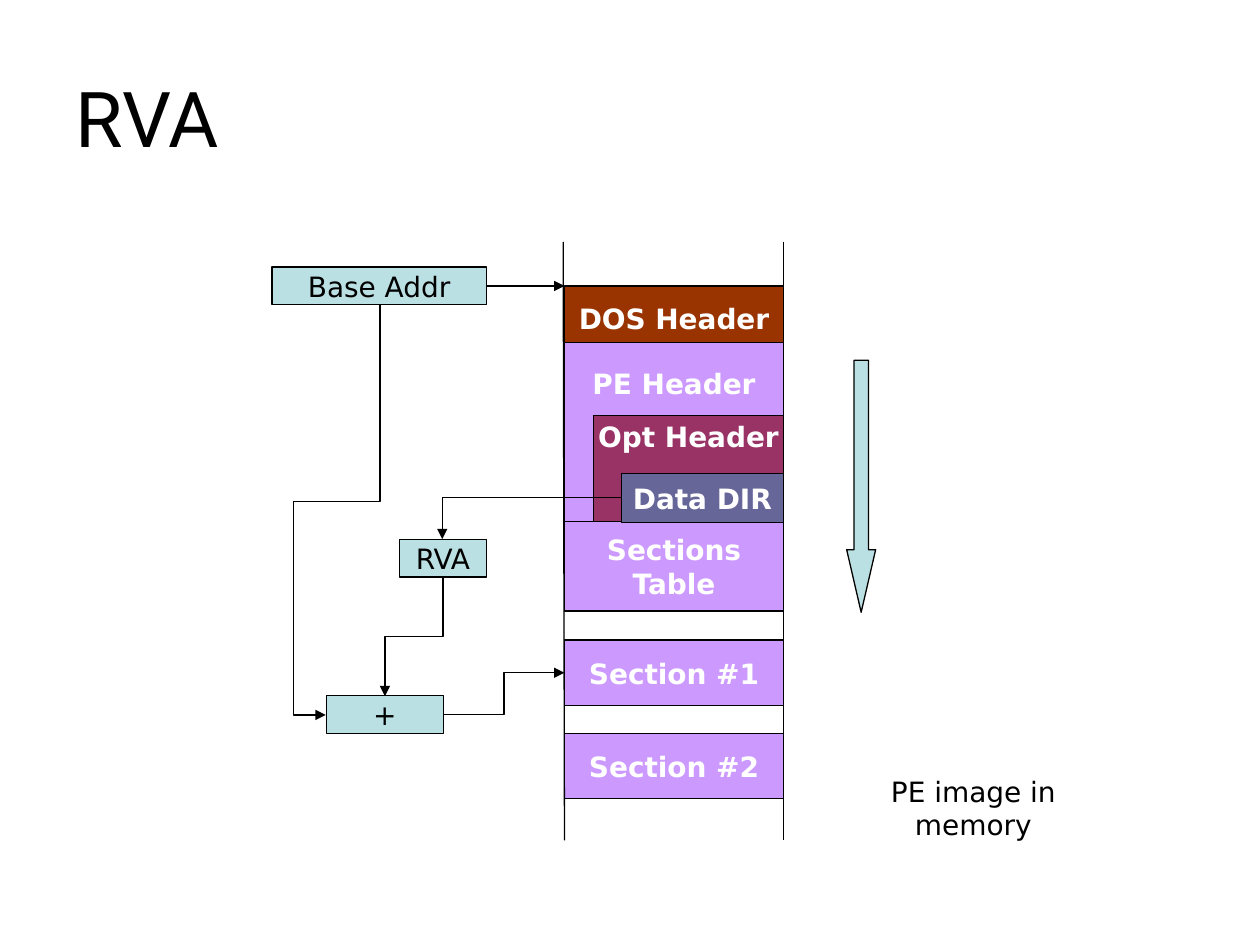
from pptx import Presentation
from pptx.dml.color import RGBColor
from pptx.enum.shapes import MSO_CONNECTOR, MSO_SHAPE
from pptx.enum.text import MSO_ANCHOR, PP_ALIGN
from pptx.oxml.ns import qn
from pptx.util import Inches, Pt
from lxml import etree

BLACK = RGBColor(0x00, 0x00, 0x00)
WHITE = RGBColor(0xFF, 0xFF, 0xFF)
BROWN = RGBColor(0x99, 0x33, 0x00)
LILAC = RGBColor(0xCC, 0x99, 0xFF)
PLUM = RGBColor(0x99, 0x33, 0x66)
SLATE = RGBColor(0x66, 0x66, 0x99)
PALE_BLUE = RGBColor(0xBB, 0xE0, 0xE3)

RECTANGLE = MSO_SHAPE.RECTANGLE
DOWN_ARROW = MSO_SHAPE.DOWN_ARROW
STRAIGHT = MSO_CONNECTOR.STRAIGHT
ELBOW = MSO_CONNECTOR.ELBOW
TOP, MIDDLE = MSO_ANCHOR.TOP, MSO_ANCHOR.MIDDLE
LEFT, CENTER = PP_ALIGN.LEFT, PP_ALIGN.CENTER
RIGHT_SIDE = 3

BODY_FONT, TITLE_FONT = "DejaVu Sans", "Roboto"
LINE_WIDTH = Pt(0.75)
MEMORY_LEFT, MEMORY_RIGHT = 4.48, 6.22
MEMORY_BLOCKS = [
    ("DOS Header", MEMORY_LEFT, 2.27, 0.52, BROWN, None),
    ("PE Header", MEMORY_LEFT, 2.72, 1.42, LILAC, 0.19),
    ("Opt Header", 4.71, 3.3, 0.84, PLUM, 0.03),
    ("Sections\nTable", MEMORY_LEFT, 4.14, 0.71, LILAC, None),
    ("Data DIR", 4.93, 3.76, 0.39, SLATE, None),
    ("Section #1", MEMORY_LEFT, 5.08, 0.52, LILAC, None),
    ("Section #2", MEMORY_LEFT, 5.82, 0.52, LILAC, None),
]


def write_text(box, text, color, size=16, font=BODY_FONT, bold=False, align=CENTER):
    """Fill a box with unwrapped, vertically centred text."""
    frame = box.text_frame
    frame.text = text
    frame.word_wrap = False
    frame.vertical_anchor = MIDDLE
    for para in frame.paragraphs:
        para.alignment = align
        for span in para.runs:
            span.font.name = font
            span.font.size = Pt(size)
            span.font.bold = bold
            span.font.color.rgb = color


def add_filled_shape(page, kind, left, top, width, height, fill):
    """Add a flat shape with a thin black outline."""
    shape = page.shapes.add_shape(
        kind, Inches(left), Inches(top), Inches(width), Inches(height))
    shape.shadow.inherit = False
    shape.fill.solid()
    shape.fill.fore_color.rgb = fill
    shape.line.color.rgb = BLACK
    shape.line.width = LINE_WIDTH
    return shape


def add_memory_block(page, text, left, top, height, fill, text_top):
    """Add a block that ends at the right edge of the memory column."""
    box = add_filled_shape(
        page, RECTANGLE, left, top, MEMORY_RIGHT - left, height, fill)
    write_text(box, text, WHITE, bold=True)
    if text_top is not None:
        box.text_frame.vertical_anchor = TOP
        box.text_frame.margin_top = Inches(text_top)


def add_address_box(page, text, left, top, width):
    """Add a pale box that holds an address or an operator."""
    box = add_filled_shape(page, RECTANGLE, left, top, width, 0.3, PALE_BLUE)
    write_text(box, text, BLACK)
    return box


def add_label(page, text, left, top, width, height, **style):
    """Add a free-standing line of black text."""
    box = page.shapes.add_textbox(
        Inches(left), Inches(top), Inches(width), Inches(height))
    write_text(box, text, BLACK, **style)
    return box


def add_line(page, start, end, kind=STRAIGHT, arrow=False):
    """Add a thin black connector, with an arrowhead at its end if wanted."""
    line = page.shapes.add_connector(
        kind, *(Inches(value) for value in (*start, *end)))
    line.line.color.rgb = BLACK
    line.line.width = LINE_WIDTH
    if arrow:
        outline = line.line._get_or_add_ln()
        etree.SubElement(outline, qn("a:tailEnd"), type="triangle")
    etree.SubElement(line._element.spPr, qn("a:effectLst"))
    return line


def add_elbow_arrow(page, start, end, bends, rotation=0, adjusts=()):
    """Add a bent arrow, given by its unrotated ends and its adjustments."""
    arrow = add_line(page, start, end, ELBOW, arrow=True)
    properties = arrow._element.spPr
    properties.find(qn("a:xfrm")).set("rot", str(rotation * 60000))
    geometry = properties.find(qn("a:prstGeom"))
    geometry.set("prst", f"bentConnector{bends}")
    guides = geometry.find(qn("a:avLst"))
    for number, value in enumerate(adjusts, 1):
        etree.SubElement(guides, qn("a:gd"), name=f"adj{number}",
                         fmla=f"val {round(value * 100000)}")


def main():
    """Build the slide and save it."""
    deck = Presentation()
    deck.slide_width, deck.slide_height = Inches(10), Inches(7.5)
    page = deck.slides.add_slide(deck.slide_layouts[6])

    title = add_label(page, "RVA", 0.5, 0.3, 9, 1.25,
                      size=44, font=TITLE_FONT, align=LEFT)
    title.text_frame.word_wrap = True

    for block in MEMORY_BLOCKS:
        add_memory_block(page, *block)
    add_line(page, (4.47, 1.92), (MEMORY_LEFT, 6.67))
    add_line(page, (MEMORY_RIGHT, 1.92), (MEMORY_RIGHT, 6.67))

    growth = add_filled_shape(page, DOWN_ARROW, 6.72, 2.86, 0.23, 2, PALE_BLUE)
    growth.adjustments[0] = 0.5
    growth.adjustments[1] = 2.16
    add_label(page, "PE image in memory", 6.49, 6.15, 2.47, 0.52)

    base = add_address_box(page, "Base Addr", 2.16, 2.12, 1.7)
    add_address_box(page, "RVA", 3.17, 4.28, 0.69)
    add_address_box(page, "+", 2.59, 5.52, 0.93)

    base_arrow = add_line(page, (3.86, 2.27), (MEMORY_LEFT, 2.27), arrow=True)
    base_arrow.begin_connect(base, RIGHT_SIDE)
    add_elbow_arrow(page, (2.81, 4.82), (3.76, 5.28), 3, 90, [0.5])
    add_elbow_arrow(page, (3.51, 4.28), (4.93, 3.95), 2, 180)
    add_elbow_arrow(page, (1.17, 3.83), (4.43, 4.26), 4, 90, [0.48, 1.59])
    add_elbow_arrow(page, (3.52, 5.67), (MEMORY_LEFT, 5.34), 3, 0, [0.5])

    deck.save("out.pptx")


if __name__ == "__main__":
    main()
